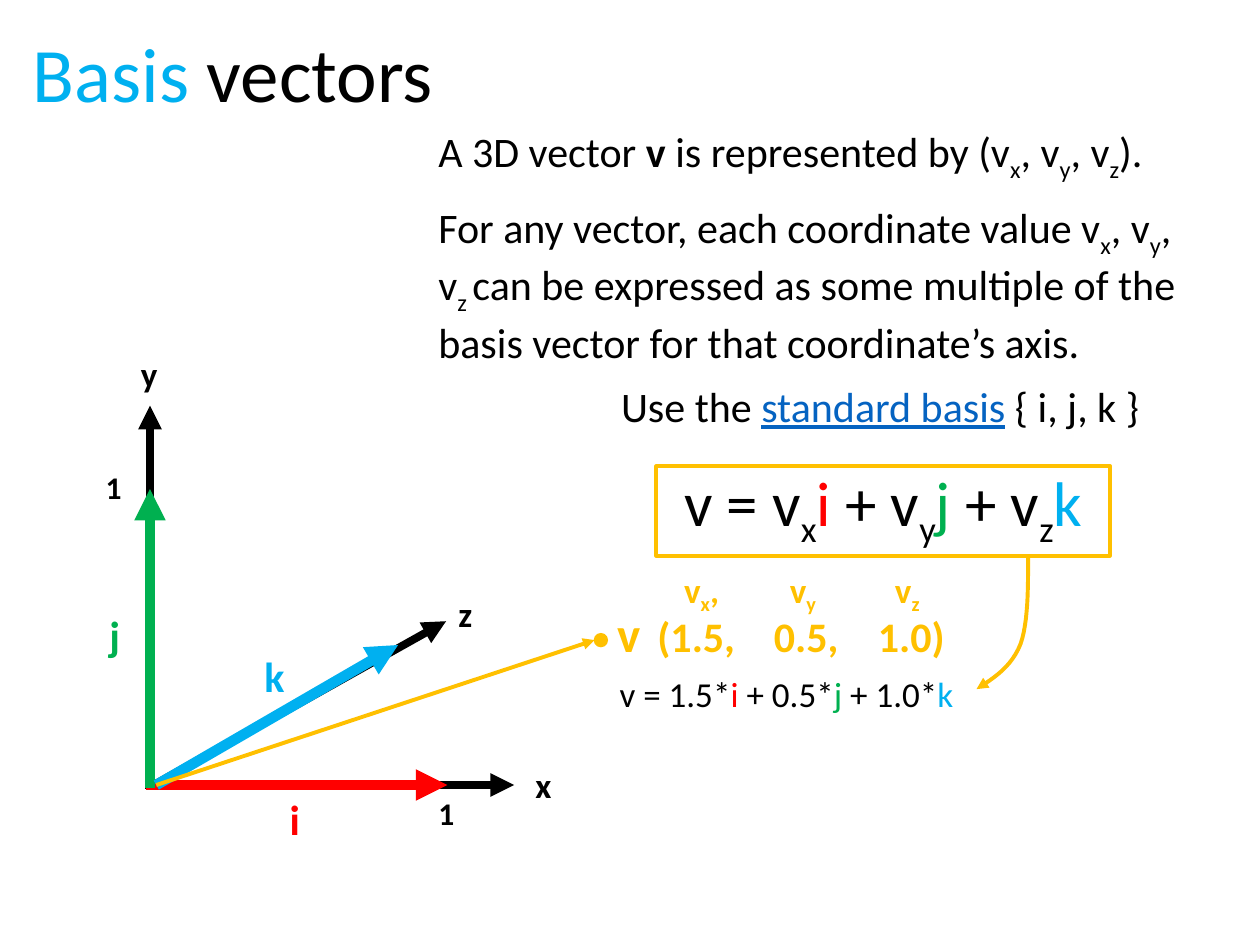
from lxml import etree
from pptx import Presentation
from pptx.dml.color import RGBColor
from pptx.enum.shapes import MSO_CONNECTOR, MSO_SHAPE
from pptx.enum.text import MSO_ANCHOR, PP_ALIGN
from pptx.oxml.ns import qn
from pptx.util import Pt

STRAIGHT = MSO_CONNECTOR.STRAIGHT
RECTANGLE, OVAL = MSO_SHAPE.RECTANGLE, MSO_SHAPE.OVAL
TOP, LEFT = MSO_ANCHOR.TOP, PP_ALIGN.LEFT

FONT = "Calibri"
BLACK, RED, GREEN = "000000", "FF0000", "00B050"
BLUE, GOLD, LINK = "00B0F0", "FFC000", "0563C1"

# Spans are (text, style); a style is a colour, SUB or BOLD
SUB, BOLD = "sub", "bold"
VX, VY, VZ = [("v", ""), ("x", SUB)], [("v", ""), ("y", SUB)], [("v", ""), ("z", SUB)]
COMMA = [(", ", "")]
TITLE = [("Basis", BLUE), (" vectors", BLACK)]

# Texts: spans, left, top, width, height, size
TEXTS = [
    ([("A 3D vector ", ""), ("v", BOLD), (" is represented by (", ""),
      *VX, *COMMA, *VY, *COMMA, *VZ, (").", "")], 243.4, 68.4, 425.5, 36, 24),
    ([("For any vector, each coordinate value ", ""), *VX, *COMMA, *VY, *COMMA,
      ("v", ""), ("z ", SUB),
      ("can be expressed as some multiple of the basis vector for that "
       "coordinate’s axis.", "")], 243.4, 111.6, 450.7, 94.3, 24),
    ([("Use the ", ""), ("standard basis", LINK), (" { i, j, k }", "")],
     347.8, 213.8, 314.6, 36, 24),
    ([("v = ", ""), *VX, ("i", RED), (" + ", ""), *VY, ("j", GREEN),
      (" + ", ""), *VZ, ("k", BLUE)], 383.8, 261.4, 270.7, 51, 36),
    ([("v = 1.5*", ""), ("i", RED), (" + 0.5*", ""), ("j", GREEN),
      (" + 1.0*", ""), ("k", BLUE)], 347, 380.9, 206, 31.7, 20),
]

# Bold labels: text, left, top, size, colour
LABELS = [
    ("x", 298.8, 432.7, 20, BLACK), ("y", 73.4, 198, 20, BLACK),
    ("z", 254.9, 334.8, 20, BLACK),
    ("1", 243.4, 450, 18, BLACK), ("1", 53.3, 264.2, 18, BLACK),
    ("i", 158.4, 450, 24, RED), ("j", 55.4, 344.9, 24, GREEN),
    ("k", 144, 367.9, 24, BLUE), ("v", 345.6, 341.3, 28, GOLD),
]

# Gold tabbed rows: spans, left, top, size, tab stops
ROWS = [
    ([*VX, (",\t", ""), *VY, ("\t", ""), *VZ], 383.8, 321.1, 20, (60.5, 120.5)),
    ([("(1.5,\t0.5,\t1.0)", "")], 368.6, 345.6, 24, (66.5, 126)),
]

# Arrows: start, end, colour, width
ARROWS = [
    ((87.8, 448.6), (254.9, 355), BLACK, 4.5),
    ((85.7, 448.6), (85.7, 231.8), BLACK, 4.5),
    ((82.8, 448.6), (293.8, 448.6), BLACK, 4.5),
    ((83.5, 448.6), (255.6, 448.6), RED, 6),
    ((85.7, 450), (85.7, 279.4), GREEN, 6),
    ((89.3, 448.6), (227.5, 368.6), BLUE, 6),
    ((89.3, 448.6), (339.8, 365.8), GOLD, 2.25),
]

# Bezier pieces of the arrow from the equation to its expansion
CURVE = [
    ((587.5, 317.5), (587.5, 336.2), (587.5, 355.7), (583.2, 367.9)),
    ((583.2, 367.9), (578.2, 380.9), (568.1, 387.4), (558, 393.8)),
]
CURVE_STEPS = 12


def rgb(value):
    return RGBColor.from_string(value)


def write(frame, spans, size, color=BLACK, bold=False, tabs=()):
    frame.word_wrap = True
    frame.vertical_anchor = TOP
    para = frame.paragraphs[0]
    para.alignment = LEFT
    if tabs:
        tab_list = etree.SubElement(para._p.get_or_add_pPr(), qn("a:tabLst"))
        for stop in tabs:
            etree.SubElement(tab_list, qn("a:tab"), pos=str(Pt(stop)), algn="l")
    for text, style in spans:
        span = para.add_run()
        span.text = text
        font = span.font
        font.name, font.size = FONT, Pt(size)
        font.bold = bold or style == BOLD
        font.color.rgb = rgb(color if style in ("", SUB, BOLD) else style)
        if style == LINK:
            font.underline = True
        if style == SUB:
            span._r.get_or_add_rPr().set("baseline", "-25000")


def add_text(page, spans, left, top, width, height, size, **options):
    box = page.shapes.add_textbox(Pt(left), Pt(top), Pt(width), Pt(height))
    write(box.text_frame, spans, size, **options)


def style_line(shape, color, width, arrow=False):
    shape.line.color.rgb = rgb(color)
    shape.line.width = Pt(width)
    if arrow:
        etree.SubElement(shape.line._get_or_add_ln(), qn("a:tailEnd"), type="triangle")


def add_arrow(page, start, end, color, width):
    arrow = page.shapes.add_connector(STRAIGHT, *map(Pt, start + end))
    style_line(arrow, color, width, arrow=True)
    etree.SubElement(arrow._element.spPr, qn("a:effectLst"))


def bezier(points, t):
    weights = ((1 - t) ** 3, 3 * t * (1 - t) ** 2, 3 * t * t * (1 - t), t ** 3)
    return tuple(Pt(sum(w * point[axis] for w, point in zip(weights, points)))
                 for axis in (0, 1))


def add_curve(page):
    points = [bezier(piece, step / CURVE_STEPS)
              for piece in CURVE for step in range(1, CURVE_STEPS + 1)]
    builder = page.shapes.build_freeform(*map(Pt, CURVE[0][0]))
    builder.add_line_segments(points, close=False)
    curve = builder.convert_to_shape()
    curve.shadow.inherit = False
    curve.fill.background()
    style_line(curve, GOLD, 2.25, arrow=True)


def main():
    deck = Presentation()
    deck.slide_width, deck.slide_height = Pt(720), Pt(540)
    page = deck.slides.add_slide(deck.slide_layouts[5])

    # Title and texts
    title = page.shapes.title
    title.left, title.top, title.width, title.height = map(Pt, (11.5, 10.8, 245.5, 60.5))
    write(title.text_frame, TITLE, 44)
    for text in TEXTS:
        add_text(page, *text)

    # Axes, basis vectors and the vector v
    for arrow in ARROWS:
        add_arrow(page, *arrow)
    for text, left, top, size, color in LABELS:
        add_text(page, [(text, "")], left, top, 26, 36, size, color=color, bold=True)
    dot = page.shapes.add_shape(OVAL, Pt(339.8), Pt(362.2), Pt(7.2), Pt(7.2))
    dot.shadow.inherit = False
    dot.fill.solid()
    dot.fill.fore_color.rgb = rgb(GOLD)
    style_line(dot, GOLD, 1)

    # Coordinates of v
    for spans, left, top, size, tabs in ROWS:
        add_text(page, spans, left, top, 190, 36, size, color=GOLD, bold=True, tabs=tabs)

    # Equation frame and its curved arrow
    frame = page.shapes.add_shape(RECTANGLE, Pt(375.1), Pt(266.4), Pt(259.2), Pt(51.1))
    frame.shadow.inherit = False
    frame.fill.background()
    style_line(frame, GOLD, 2.25)
    add_curve(page)

    deck.save("out.pptx")


if __name__ == "__main__":
    main()
